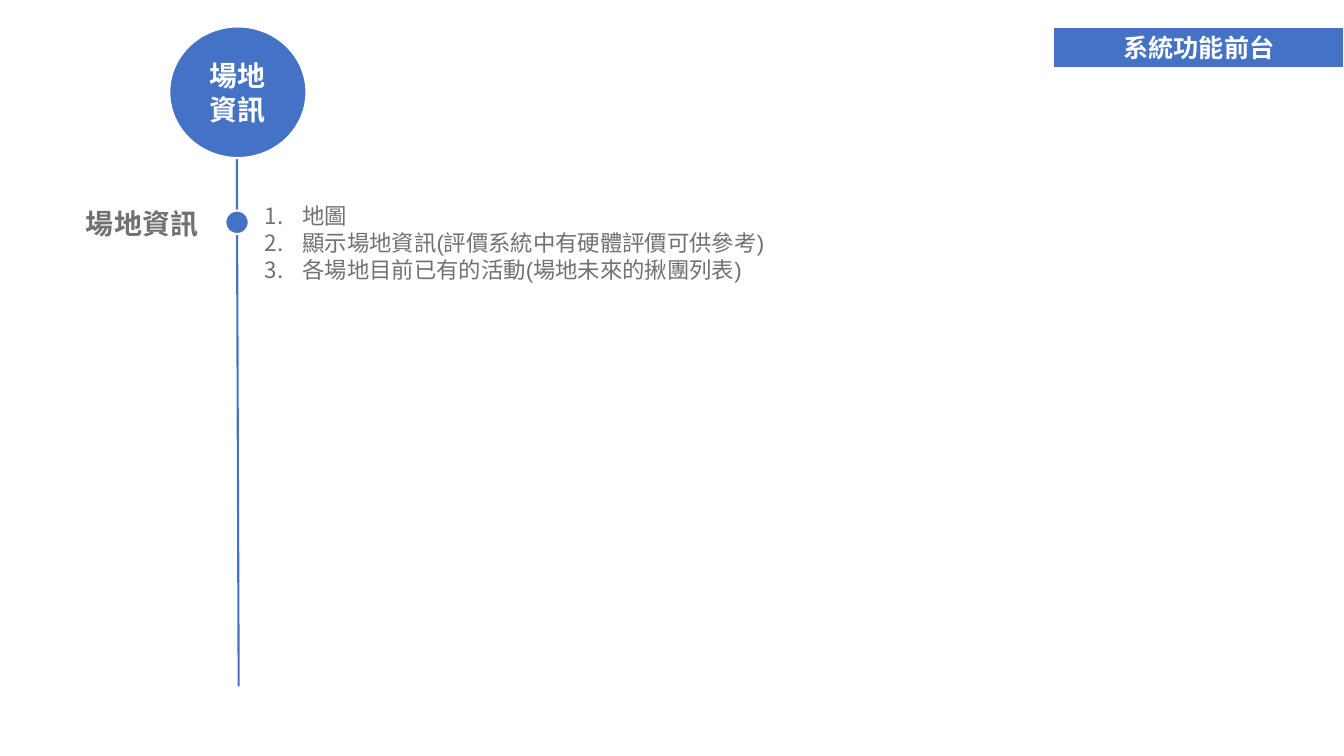
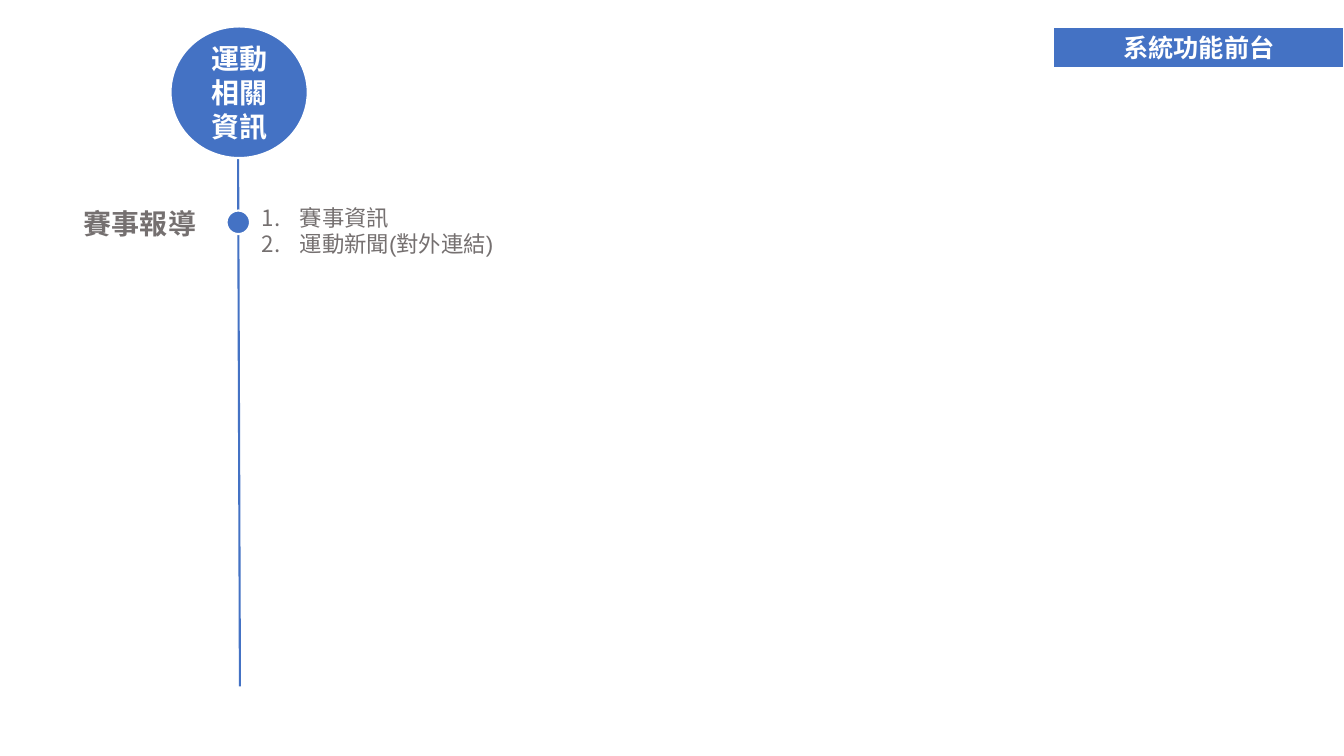
from dataclasses import dataclass

from lxml import etree
from pptx import Presentation
from pptx.dml.color import RGBColor
from pptx.enum.shapes import MSO_CONNECTOR, MSO_SHAPE
from pptx.enum.text import MSO_ANCHOR, MSO_AUTO_SIZE, PP_ALIGN
from pptx.oxml.ns import qn
from pptx.util import Pt

RECT, OVAL = MSO_SHAPE.RECTANGLE, MSO_SHAPE.OVAL
STRAIGHT = MSO_CONNECTOR.STRAIGHT
CENTER, LEFT = PP_ALIGN.CENTER, PP_ALIGN.LEFT
MIDDLE, TOP = MSO_ANCHOR.MIDDLE, MSO_ANCHOR.TOP
NO_AUTOFIT = MSO_AUTO_SIZE.NONE

BLUE, GREY, WHITE = "4472C4", "757070", "FFFFFF"
FONT = "Arial"
LINE_WIDTH = 1.5
LIST_INDENT = 27
TITLE = "系統功能前台"
TITLE_BOX = (752.4, 18.9, 208, 30)


@dataclass(frozen=True)
class Topic:
    heading: list[str]
    label: str
    items: list[str]
    axis_x: float
    label_x: float
    list_x: float
    list_y: float


TOPICS = [
    Topic(["場地", "資訊"], "場地資訊",
          ["地圖", "顯示場地資訊(評價系統中有硬體評價可供參考)",
           "各場地目前已有的活動(場地未來的揪團列表)"],
          169.1, 101.5, 182, 141),
    Topic(["運動相關", "資訊"], "賽事報導",
          ["賽事資訊", "運動新聞(對外連結)"],
          170, 100, 180, 142),
]


def rgb(color: str) -> RGBColor:
    return RGBColor.from_string(color)


def paint(sp, fill: str, line: str | None = None) -> None:
    sp.fill.solid()
    sp.fill.fore_color.rgb = rgb(fill)
    if line:
        sp.line.color.rgb = rgb(line)
        sp.line.width = Pt(LINE_WIDTH)
    else:
        sp.line.fill.background()


def write(sp, lines: list[str], size: float, color: str, bold: bool = True,
          align=CENTER, anchor=MIDDLE) -> None:
    """Fill the shape with one paragraph per line."""
    tf = sp.text_frame
    tf.word_wrap = True
    tf.auto_size = NO_AUTOFIT
    tf.vertical_anchor = anchor
    tf.margin_left = tf.margin_right = Pt(7.2)
    tf.margin_top = tf.margin_bottom = Pt(3.6)
    for i, line in enumerate(lines):
        p = tf.add_paragraph() if i else tf.paragraphs[0]
        p.alignment = align
        p.line_spacing = 1.0
        p.space_before = Pt(0)
        r = p.add_run()
        r.text = line
        r.font.name = FONT
        r.font.size = Pt(size)
        r.font.bold = bold
        r.font.color.rgb = rgb(color)


def number(p) -> None:
    """Give the paragraph a hanging automatic number."""
    p_pr = p._p.get_or_add_pPr()
    p_pr.set("marL", str(Pt(LIST_INDENT)))
    p_pr.set("indent", str(-Pt(LIST_INDENT)))
    bullet_color = etree.SubElement(p_pr, qn("a:buClr"))
    etree.SubElement(bullet_color, qn("a:srgbClr"), val=GREY)
    etree.SubElement(p_pr, qn("a:buFont"), typeface="+mj-lt")
    etree.SubElement(p_pr, qn("a:buAutoNum"), type="arabicPeriod")


def add_shape(s, kind, x: float, y: float, w: float, h: float,
              fill: str, line: str | None = None):
    sp = s.shapes.add_shape(kind, Pt(x), Pt(y), Pt(w), Pt(h))
    sp.shadow.inherit = False
    paint(sp, fill, line)
    return sp


def add_axis(s, x: float) -> None:
    axis = s.shapes.add_connector(STRAIGHT, Pt(x), Pt(90.7), Pt(x + 1.4), Pt(490.3))
    axis.line.color.rgb = rgb(BLUE)
    axis.line.width = Pt(LINE_WIDTH)
    etree.SubElement(axis._element.spPr, qn("a:effectLst"))


def add_title(s) -> None:
    title = s.shapes.title
    title.left, title.top, title.width, title.height = map(Pt, TITLE_BOX)
    paint(title, BLUE, WHITE)
    write(title, [TITLE], 18, WHITE)


def add_topic(prs, topic: Topic) -> None:
    s = prs.slides.add_slide(prs.slide_layouts[5])
    add_title(s)
    add_axis(s, topic.axis_x)
    add_shape(s, OVAL, topic.axis_x - 8.2, 150.4, 16.8, 16.8, BLUE, WHITE)
    circle = add_shape(s, OVAL, topic.axis_x - 48.2, 18.9, 98, 94, BLUE, WHITE)
    write(circle, topic.heading, 20, WHITE)

    label = s.shapes.add_textbox(Pt(topic.label_x - 60), Pt(140), Pt(120), Pt(39))
    write(label, [topic.label], 20, GREY)

    features = add_shape(s, RECT, topic.list_x, topic.list_y, 565, 113, WHITE)
    write(features, topic.items, 16, GREY, bold=False, align=LEFT, anchor=TOP)
    for p in features.text_frame.paragraphs:
        number(p)


def main() -> None:
    prs = Presentation()
    prs.slide_width, prs.slide_height = Pt(960), Pt(540)
    for topic in TOPICS:
        add_topic(prs, topic)
    prs.save("out.pptx")


if __name__ == "__main__":
    main()
